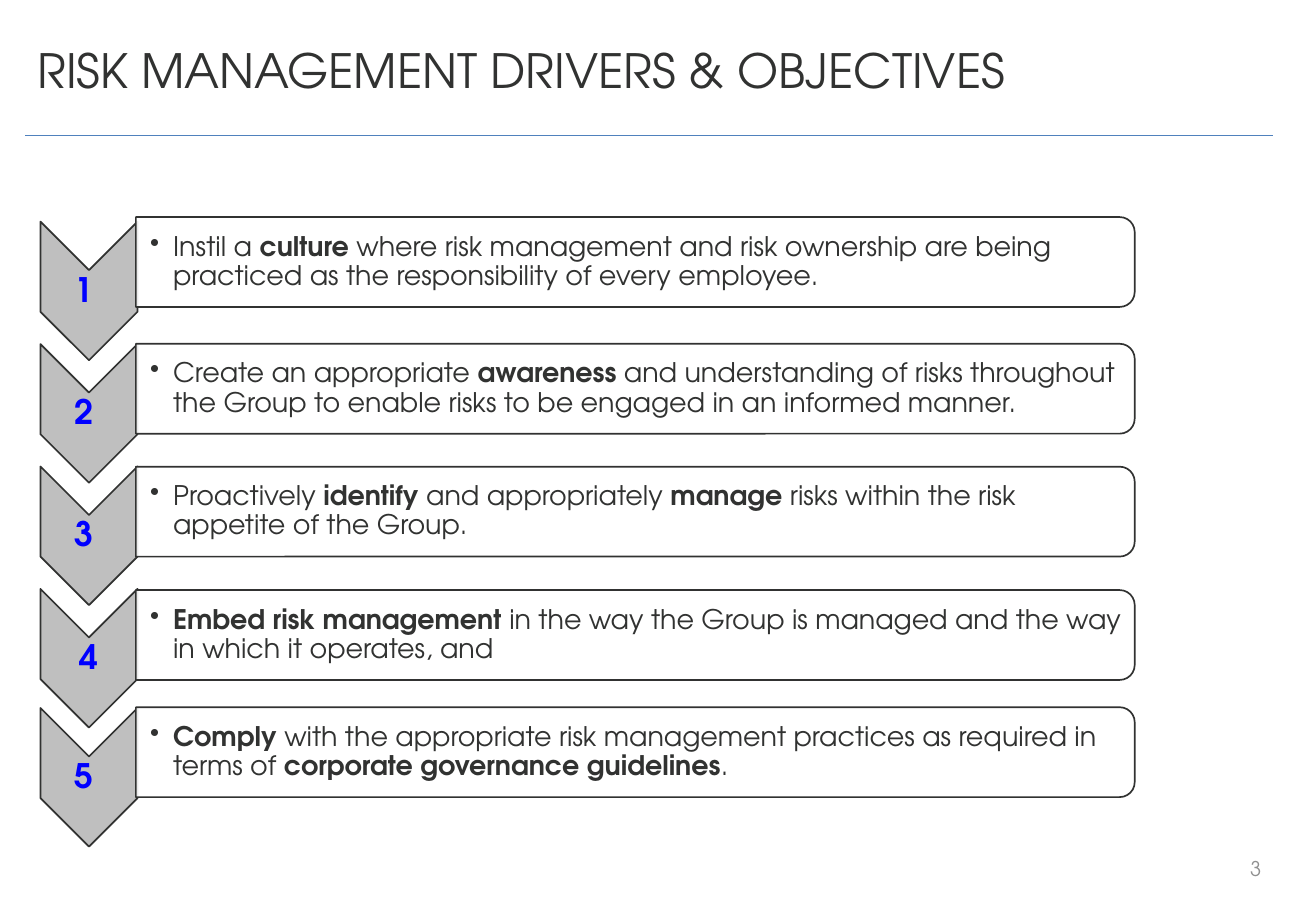
"""Build the slide on risk management drivers and objectives."""
from lxml import etree
from pptx import Presentation
from pptx.dml.color import RGBColor
from pptx.enum import shapes, text
from pptx.oxml import ns
from pptx.util import Cm, Pt

INK = "313231"


def colour(value):
    return RGBColor.from_string(value)


def style(paragraph, size, value, bold=None):
    paragraph.font.name = "TeX Gyre Adventor"
    paragraph.font.size = Pt(size)
    paragraph.font.color.rgb = colour(value)
    paragraph.font.bold = bold


deck = Presentation()
deck.slide_width, deck.slide_height = Cm(27.51), Cm(19.05)
page = deck.slides.add_slide(deck.slide_layouts[5])

rule = page.shapes.add_connector(
    shapes.MSO_CONNECTOR.STRAIGHT, Cm(0.53), Cm(2.83), Cm(26.62), Cm(2.83))
rule.line.color.rgb = colour("4F81BD")
rule.line.width = Pt(0.5)
etree.SubElement(rule._element.spPr, ns.qn("a:effectLst"))

title = page.shapes.title
title.left, title.top, title.width, title.height = Cm(0.53), Cm(0.46), Cm(23.72), Cm(2.13)
title.text_frame.text = "RISK MANAGEMENT DRIVERS & OBJECTIVES"
title.text_frame.vertical_anchor = text.MSO_ANCHOR.MIDDLE
heading = title.text_frame.paragraphs[0]
heading.alignment = text.PP_ALIGN.LEFT
heading.line_spacing = 0.9
style(heading, 28, INK)

objectives = [
    ("1 ", 5.07, 4.54, "Instil a *culture* where risk management and risk ownership are being "
     "practiced as the responsibility of every employee."),
    ("2 ", 7.63, 7.19, "Create an appropriate *awareness* and understanding of risks throughout "
     "the Group to enable risks to be engaged in an informed manner."),
    ("3 ", 10.19, 9.76, "Proactively *identify* and appropriately *manage* risks within the risk "
     "appetite of the Group."),
    ("4", 12.75, 12.34, "*Embed risk management *in the way the Group is managed and the way "
     "in which it operates, and"),
    ("5 ", 15.24, 14.79, "*Comply* with the appropriate risk management practices as required in "
     "terms of *corporate governance guidelines*."),
]

for number, chevron_top, pane_top, wording in objectives:
    chevron = page.shapes.add_shape(
        shapes.MSO_SHAPE.CHEVRON, Cm(0.41), Cm(chevron_top), Cm(2.9), Cm(2.03))
    pane = page.shapes.add_shape(
        shapes.MSO_SHAPE.ROUND_2_SAME_RECTANGLE,
        Cm(12.34), Cm(pane_top - 9.5), Cm(1.88), Cm(20.88))
    for shape, fill in ((chevron, "BFBFBF"), (pane, "FFFFFF")):
        shape.rotation = 90
        shape.shadow.inherit = False
        shape.fill.solid()
        shape.fill.fore_color.rgb = colour(fill)
        shape.line.color.rgb = colour(INK)
        shape.line.width = Pt(1)
    white = pane._element.spPr.find(ns.qn("a:solidFill"))[0]
    etree.SubElement(white, ns.qn("a:alpha"), val="90000")

    label = page.shapes.add_textbox(Cm(0.84), Cm(chevron_top + 0.57), Cm(2.03), Cm(0.86))
    box = page.shapes.add_textbox(Cm(2.84), Cm(pane_top + 0.09), Cm(20.78), Cm(1.7))
    for frame in (label.text_frame, box.text_frame):
        frame.word_wrap = True
        frame.margin_left = frame.margin_right = Cm(0.03)
        frame.margin_top = frame.margin_bottom = Cm(0.03)
        frame.paragraphs[0].line_spacing = 0.9

    label.text_frame.vertical_anchor = text.MSO_ANCHOR.BOTTOM
    para = label.text_frame.paragraphs[0]
    para.text = number
    para.alignment = text.PP_ALIGN.CENTER
    style(para, 20, "0000FF", True)

    box.text_frame.margin_left = Cm(0.3)
    box.text_frame.vertical_anchor = text.MSO_ANCHOR.MIDDLE
    para = box.text_frame.paragraphs[0]
    properties = para._p.get_or_add_pPr()
    properties.set("marL", str(Cm(0.48)))
    properties.set("indent", str(Cm(-0.48)))
    etree.SubElement(properties, ns.qn("a:buChar"), char="•")
    style(para, 16, INK)
    for index, part in enumerate(wording.split("*")):
        if part:
            span = para.add_run()
            span.text = part
            span.font.bold = index % 2 == 1

folio = page.shapes.add_textbox(Cm(20.42), Cm(17.65), Cm(6.2), Cm(1.02))
folio.text_frame.word_wrap = True
folio.text_frame.vertical_anchor = text.MSO_ANCHOR.MIDDLE
para = folio.text_frame.paragraphs[0]
para.text = "3"
para.alignment = text.PP_ALIGN.RIGHT
style(para, 12, "909090")

deck.save("out.pptx")
